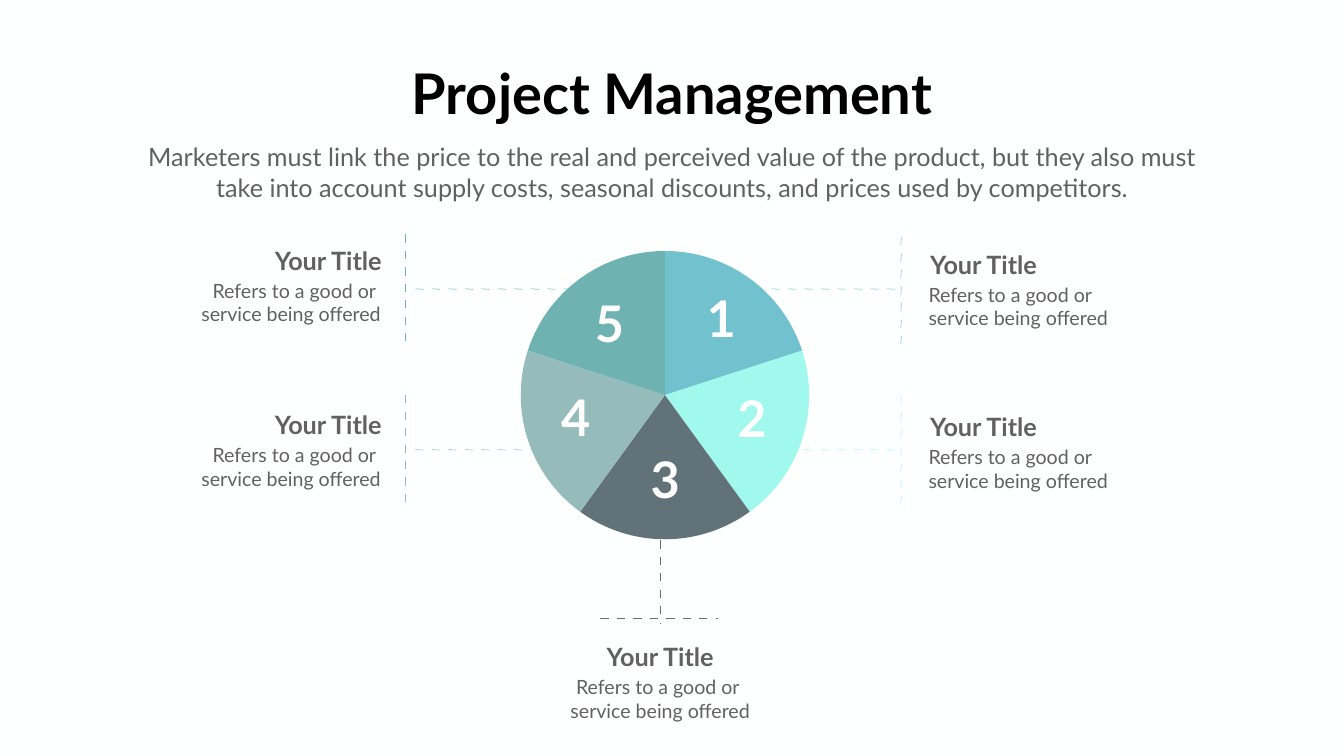
from dataclasses import dataclass
from math import ceil, cos, hypot, radians, sin, tan

from lxml import etree
from pptx import Presentation
from pptx.dml.color import RGBColor
from pptx.enum.shapes import MSO_CONNECTOR
from pptx.enum.text import MSO_AUTO_SIZE, PP_ALIGN
from pptx.oxml.ns import qn
from pptx.util import Inches, Pt

STRAIGHT = MSO_CONNECTOR.STRAIGHT
LEFT, CENTER, RIGHT = PP_ALIGN.LEFT, PP_ALIGN.CENTER, PP_ALIGN.RIGHT
FIT_SHAPE = MSO_AUTO_SIZE.SHAPE_TO_FIT_TEXT

CENTER_X, CENTER_Y, RADIUS = 13.19, 7.84, 2.86
SLICE_ANGLE = 72
DASH_PITCH = 0.98 / 3
SLANT = 0.01


@dataclass(frozen=True)
class Theme:
    """Colours, font and type sizes of the slide."""
    font: str = "Lato"
    background: str = "FEFFFF"
    title: str = "000000"
    body: str = "616161"
    number: str = "FFFFFF"
    slices: tuple = ("71C2CE", "A1F9ED", "617278", "96BBBB", "6EB2B1")
    title_size: int = 80
    heading_size: int = 36
    body_size: int = 28
    number_size: int = 72
    dash_width: float = 0.77


THEME = Theme()

NUMBER_SPOTS = [(13.92, 5.65), (14.53, 7.63), (12.81, 8.84), (11.03, 7.61), (11.7, 5.75)]

# Each callout: heading left, heading top, detail left, alignment.
CALLOUTS = [
    (18.35, 4.89, 18.32, LEFT),
    (18.35, 8.11, 18.32, LEFT),
    (11.79, 12.68, 11.11, CENTER),
    (5.06, 8.07, 3.68, RIGHT),
    (5.06, 4.81, 3.68, RIGHT),
]

# Each guide pair: leader from the pie, then the bar beside the callout, both with a slant.
GUIDES = [
    [(14.65, 5.73, 17.75, 5.73, SLANT), (17.87, 6.83, 17.87, 4.7, SLANT)],
    [(14.65, 8.92, 17.75, 8.92, SLANT), (17.87, 10.01, 17.87, 7.88, SLANT)],
    [(13.09, 9.74, 13.09, 12.37, 0), (11.91, 12.27, 14.25, 12.27, 0)],
    [(8.24, 8.92, 11.35, 8.92, SLANT), (8.04, 7.84, 8.04, 9.97, 0)],
    [(8.24, 5.73, 11.35, 5.73, SLANT), (8.04, 4.65, 8.04, 6.78, 0)],
]


def add_text(page, text, left, top, width, height, *, size, color=THEME.body,
             bold=False, align=LEFT, wrap=True):
    """Add a text box with one paragraph per line of text."""
    box = page.shapes.add_textbox(Inches(left), Inches(top), Inches(width), Inches(height))
    frame = box.text_frame
    frame.word_wrap = wrap
    frame.auto_size = FIT_SHAPE
    for index, line in enumerate(text.split("\n")):
        para = frame.add_paragraph() if index else frame.paragraphs[0]
        para.alignment = align
        span = para.add_run()
        span.text = line
        span.font.name = THEME.font
        span.font.size = Pt(size)
        span.font.bold = bold
        span.font.color.rgb = RGBColor.from_string(color)


def add_dashes(page, x1, y1, x2, y2, slant, color):
    """Draw a row of short lines with gaps as long as the dashes."""
    length = hypot(x2 - x1, y2 - y1)
    step_x, step_y = (x2 - x1) / length, (y2 - y1) / length
    for index in range(ceil(length / DASH_PITCH)):
        start = index * DASH_PITCH
        end = min(start + DASH_PITCH / 2, length)
        dash = page.shapes.add_connector(
            STRAIGHT,
            Inches(x1 + start * step_x), Inches(y1 + start * step_y),
            Inches(x1 + end * step_x + slant * abs(step_y)),
            Inches(y1 + end * step_y + slant * abs(step_x)))
        dash.line.color.rgb = RGBColor.from_string(color)
        dash.line.width = Pt(THEME.dash_width)
        etree.SubElement(dash.element.spPr, qn("a:effectLst"))


def rim_point(angle):
    """Return the point of the pie's rim at an angle in degrees."""
    return (Inches(CENTER_X + RADIUS * cos(radians(angle))),
            Inches(CENTER_Y + RADIUS * sin(radians(angle))))


def bend_line(line, start, first, last):
    """Turn a straight segment into a circular curve between two angles."""
    point = line[0]
    end = int(point.get("x")), int(point.get("y"))
    reach = Inches(RADIUS) * 4 / 3 * tan(radians(last - first) / 4)
    curve = etree.Element(qn("a:cubicBezTo"))
    for (x, y), angle, offset in ((start, first, reach), (end, last, -reach), (end, last, 0)):
        etree.SubElement(curve, qn("a:pt"),
                         x=str(round(x - offset * sin(radians(angle)))),
                         y=str(round(y + offset * cos(radians(angle)))))
    line.getparent().replace(line, curve)
    return end


def add_slice(page, index, color):
    """Draw one equal slice of the pie, clockwise from the top."""
    first = index * SLICE_ANGLE - 90
    last = first + SLICE_ANGLE
    angles = [first, *(turn for turn in (0, 90, 180) if first < turn < last), last]
    builder = page.shapes.build_freeform(*rim_point(first))
    builder.add_line_segments([*map(rim_point, angles[1:]),
                               (Inches(CENTER_X), Inches(CENTER_Y))], close=True)
    wedge = builder.convert_to_shape()
    origin = next(wedge.element.iter(qn("a:moveTo")))[0]
    start = int(origin.get("x")), int(origin.get("y"))
    lines = list(wedge.element.iter(qn("a:lnTo")))
    for line, begin, end in zip(lines, angles, angles[1:]):
        start = bend_line(line, start, begin, end)
    wedge.shadow.inherit = False
    wedge.fill.solid()
    wedge.fill.fore_color.rgb = RGBColor.from_string(color)
    wedge.line.fill.background()


def add_callout(page, heading_left, top, detail_left, align):
    """Add a heading with its two-line detail."""
    add_text(page, "Your Title", heading_left, top, 2.61, 0.71,
             size=THEME.heading_size, bold=True, align=align)
    first_line = "Refers to a good or" if align == LEFT else "Refers to a good or "
    add_text(page, first_line + "\nservice being offered", detail_left, top + 0.67,
             3.97, 1.04, size=THEME.body_size, align=align)


def main():
    """Build the slide and save the deck."""
    deck = Presentation()
    deck.slide_width, deck.slide_height = Inches(26.66), Inches(15)
    page = deck.slides.add_slide(deck.slide_layouts[6])
    page.background.fill.solid()
    page.background.fill.fore_color.rgb = RGBColor.from_string(THEME.background)

    for color, guides in zip(THEME.slices, GUIDES):
        for guide in guides:
            add_dashes(page, *guide, color)
    for index, color in enumerate(THEME.slices):
        add_slice(page, index, color)

    add_text(page, "Project Management", 7.95, 1.12, 10.76, 1.45, size=THEME.title_size,
             color=THEME.title, bold=True, align=CENTER, wrap=False)
    add_text(page, "Marketers must link the price to the real and perceived value of the "
             "product, but they also must take into account supply costs, seasonal "
             "discounts, and prices used by competitors.", 2.68, 2.76, 21.3, 1.31,
             size=THEME.heading_size, align=CENTER)
    for number, (left, top) in enumerate(NUMBER_SPOTS, start=1):
        add_text(page, str(number), left, top, 0.79, 1.31, size=THEME.number_size,
                 color=THEME.number, bold=True, wrap=False)
    for callout in CALLOUTS:
        add_callout(page, *callout)
    deck.save("out.pptx")


if __name__ == "__main__":
    main()
